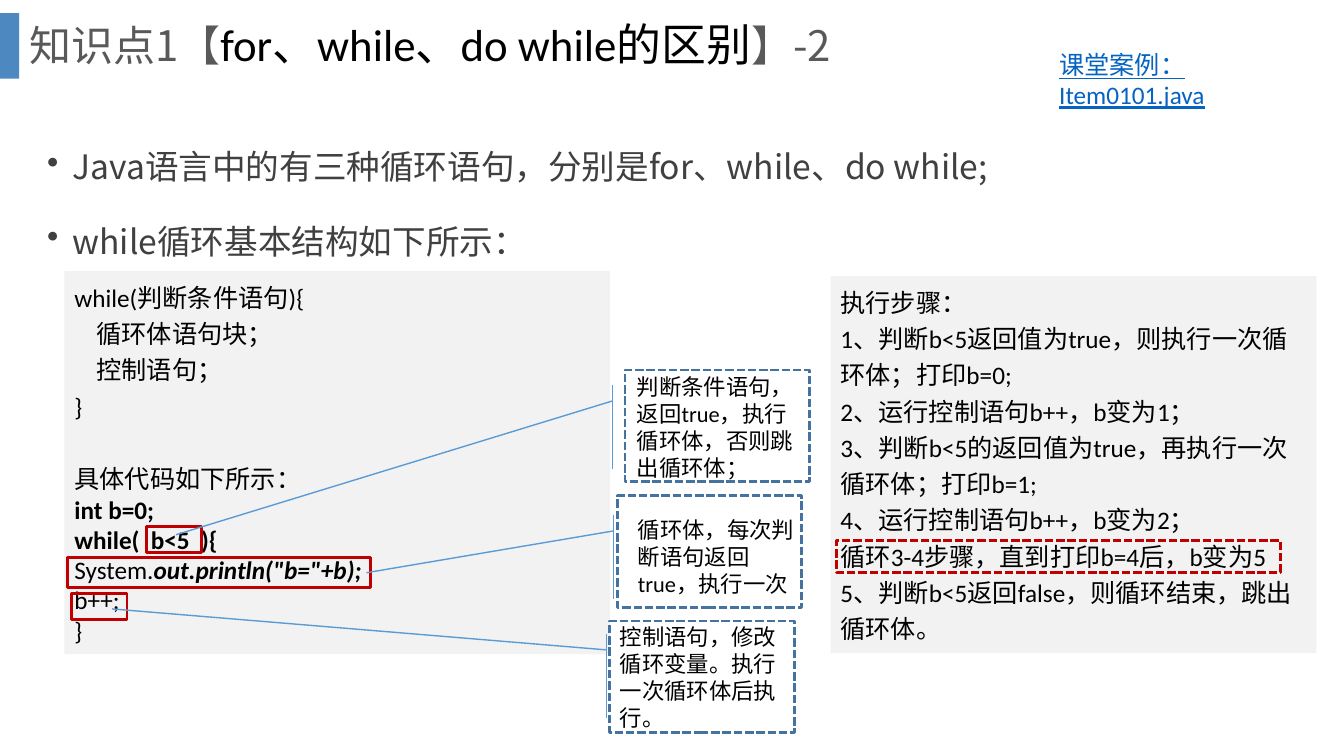
import pptx
import pptx.util
import pptx.dml.color
import pptx.enum.dml
import pptx.enum.shapes
import pptx.enum.text
import pptx.oxml.ns
import lxml.etree

SHAPES = pptx.enum.shapes.MSO_SHAPE
ANCHORS = pptx.enum.text.MSO_ANCHOR
COLORS = {
    "bar": "2E75B6", "panel": "F2F2F2", "mark": "C00000", "frame": "43739E",
    "callout": "5B9BD5", "title": "595959", "body": "404040",
    "black": "000000", "link": "0563C1",
}
LATIN, CHINESE = "Calibri", "Noto Sans CJK SC"


class SlideBuilder:
    """Draws on a grid of 160 columns by 90 rows."""

    def __init__(self, deck):
        self.slide = deck.slides.add_slide(deck.slide_layouts[6])
        self.column = deck.slide_width / 160
        self.row = deck.slide_height / 90

    def place(self, area):
        units = (self.column, self.row, self.column, self.row)
        return [round(value * unit) for value, unit in zip(area, units)]

    def color(self, name):
        return pptx.dml.color.RGBColor.from_string(COLORS[name])

    def shape(self, area, fill=None, line=None, width=2, dashed=False,
              kind=SHAPES.RECTANGLE, adjustments=()):
        shape = self.slide.shapes.add_shape(kind, *self.place(area))
        shape.shadow.inherit = False
        for index, value in enumerate(adjustments):
            shape.adjustments[index] = value
        if fill:
            shape.fill.solid()
            shape.fill.fore_color.rgb = self.color(fill)
        else:
            shape.fill.background()
        if line:
            shape.line.color.rgb = self.color(line)
            shape.line.width = pptx.util.Pt(width)
            if dashed:
                shape.line.dash_style = pptx.enum.dml.MSO_LINE.SQUARE_DOT
        else:
            shape.line.fill.background()
        return shape

    def text_box(self, area):
        return self.slide.shapes.add_textbox(*self.place(area))

    def fill_text(self, box, paragraphs, anchor=ANCHORS.TOP, **style):
        """Each paragraph is a pair: its spans and its format values."""
        frame = box.text_frame
        frame.word_wrap = True
        frame.vertical_anchor = anchor
        for index, (spans, layout) in enumerate(paragraphs):
            para = frame.paragraphs[0] if index == 0 else frame.add_paragraph()
            para.alignment = pptx.enum.text.PP_ALIGN.LEFT
            self.lay_out(para, **layout)
            for text, extra in spans:
                self.span(para, text, **{**style, **extra})

    def lay_out(self, para, indent=0, bullet=False, **values):
        for name, value in values.items():
            setattr(para, name, value)
        properties = para._p.get_or_add_pPr()
        if indent:
            properties.set("marL", str(pptx.util.Inches(indent)))
        if bullet:
            properties.set("indent", str(-pptx.util.Inches(indent)))
            mark = lxml.etree.SubElement(properties, pptx.oxml.ns.qn("a:buChar"))
            mark.set("char", "•")

    def span(self, para, text, color="black", size=18, name=LATIN, tracking=0, **values):
        span = para.add_run()
        span.text = text
        values.update(size=pptx.util.Pt(size), name=name)
        for key, value in values.items():
            setattr(span.font, key, value)
        span.font.color.rgb = self.color(color)
        properties = span._r.get_or_add_rPr()
        if tracking:
            properties.set("spc", str(tracking * 100))
        latin = properties.find(pptx.oxml.ns.qn("a:latin"))
        east_asian = lxml.etree.Element(pptx.oxml.ns.qn("a:ea"), typeface=CHINESE)
        latin.addnext(east_asian)


def plain(text, **layout):
    return [(text, {})], layout


def main():
    deck = pptx.Presentation()
    deck.slide_width = pptx.util.Inches(13.33)
    deck.slide_height = pptx.util.Inches(7.5)
    page = SlideBuilder(deck)

    # Title with its accent bar
    bar = page.shape((0, 1.56, 2.28, 7.8), fill="bar")
    bar_color = bar._element.spPr.find(".//" + pptx.oxml.ns.qn("a:srgbClr"))
    lxml.etree.SubElement(bar_color, pptx.oxml.ns.qn("a:alpha")).set("val", "85000")
    topic = {"color": "black", "size": 32, "name": LATIN}
    title = [("知识点1【", {}), ("for、while、do while的区别", topic), ("】-2", {})]
    page.fill_text(page.text_box((2.28, 0, 151.92, 11.16)),
                   [(title, {"line_spacing": 0.9})], ANCHORS.MIDDLE,
                   color="title", size=30, name=CHINESE)

    # Bullets
    bullet = {"indent": 0.25, "bullet": True, "line_spacing": 1.5,
              "space_before": pptx.util.Pt(10)}
    page.fill_text(page.text_box((4.44, 14.4, 144.6, 32.4)),
                   [plain("Java语言中的有三种循环语句，分别是for、while、do while;", **bullet),
                    plain("while循环基本结构如下所示：", **bullet)],
                   color="body", size=24, name=CHINESE)

    # Code panel
    loose = {"line_spacing": 1.2}
    bold = {"bold": True}
    gap = {"bold": True, "tracking": 4}
    condition = [("while(", bold), (" ", gap), ("b<5", bold), (" ", gap), ("){", bold)]
    code = [
        plain("while(判断条件语句){", **loose),
        plain("循环体语句块；", indent=0.22, **loose),
        plain("控制语句；", indent=0.22, **loose),
        plain("}", **loose),
        plain("具体代码如下所示：", space_before=pptx.util.Pt(26), **loose),
        ([("int b=0;", bold)], {}),
        (condition, {}),
        ([("System.", {}), ('out.println("b="+b);', {"bold": True, "italic": True})], {}),
        plain("b++;"),
        plain("}"),
    ]
    page.fill_text(page.shape((7.68, 32.28, 64.92, 45.6), fill="panel"), code)

    # Red marks around the condition, the control statement and the body
    for area in ((17.4, 62.64, 6.6, 3.12), (8.52, 70.68, 6.6, 3.12),
                 (8.04, 66.36, 36.12, 3.6)):
        page.shape(area, line="mark")

    # Callouts: left, top, end of the leader (down, across), text
    callouts = [
        (74.64, 45.84, 1.79, -2.5, "判断条件语句，返回true，执行循环体，否则跳出循环体；"),
        (74.76, 61.32, 0.69, -1.45, "循环体，每次判断语句返回true，执行一次"),
        (73.92, 75.48, -0.3, -2.82, ""),
    ]
    for left, top, down, across, text in callouts:
        callout = page.shape((left, top, 21.48, 9.96), line="callout", width=1,
                             kind=SHAPES.LINE_CALLOUT_1_ACCENT_BAR,
                             adjustments=(0.19, -0.08, down, across))
        if text:
            page.fill_text(callout, [plain(text)], ANCHORS.MIDDLE, size=16)

    # Dashed frames, stepping down and to the left
    for step in range(3):
        frame = page.shape((74.4 - 0.9 * step, 44.04 + 14.94 * step, 21.96, 13.32),
                           line="frame", dashed=True)
    page.fill_text(frame, [plain("控制语句，修改循环变量。执行一次循环体后执行。")],
                   ANCHORS.MIDDLE, size=16)

    # Execution steps
    steps = [
        "执行步骤：",
        "1、判断b<5返回值为true，则执行一次循环体；打印b=0;",
        "2、运行控制语句b++，b变为1；",
        "3、判断b<5的返回值为true，再执行一次循环体；打印b=1;",
        "4、运行控制语句b++，b变为2；",
        "循环3-4步骤，直到打印b=4后，b变为5",
        "5、判断b<5返回false，则循环结束，跳出循环体。",
    ]
    page.fill_text(page.shape((98.88, 32.88, 57.84, 44.88), fill="panel"),
                   [plain(step, **loose) for step in steps])
    page.shape((99.6, 64.32, 52.8, 3.84), line="mark", dashed=True)

    # Class example
    page.fill_text(page.text_box((124.92, 5.28, 27.36, 8.52)),
                   [plain("课堂案例：Item0101.java")], color="link", underline=True)

    deck.save("out.pptx")


if __name__ == "__main__":
    main()
